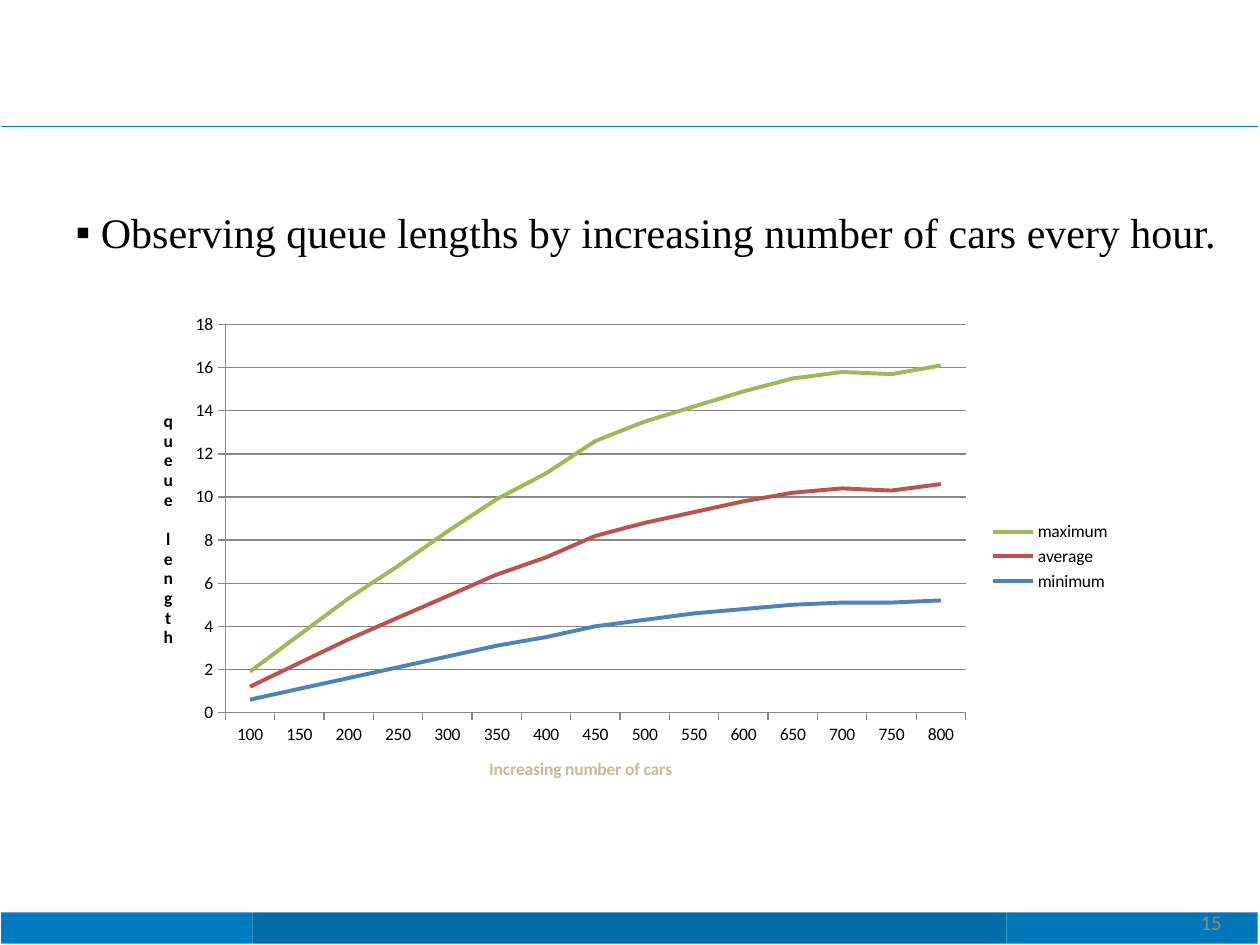
from lxml import etree
from pptx import Presentation
from pptx.chart.data import CategoryChartData
from pptx.dml.color import RGBColor
from pptx.enum.chart import XL_CHART_TYPE, XL_LEGEND_POSITION, XL_TICK_MARK
from pptx.enum.shapes import MSO_CONNECTOR, MSO_SHAPE
from pptx.enum.text import MSO_ANCHOR
from pptx.oxml.ns import qn
from pptx.util import Pt

COLORS = {
    "rule": "007BC1", "left": "007BC1", "middle": "006CAA", "right": "0077B9",
    "text": "000000", "number": "888888", "grid": "878787", "cars": "C4BD97",
    "minimum": "4F81BD", "average": "C0504D", "maximum": "9BBB59",
}
QUEUE_LENGTHS = {
    "minimum": [0.6, 1.1, 1.6, 2.1, 2.6, 3.1, 3.5, 4, 4.3, 4.6, 4.8, 5, 5.1, 5.1, 5.2],
    "average": [0.6, 1.2, 1.8, 2.3, 2.8, 3.3, 3.7, 4.2, 4.5, 4.7, 5, 5.2, 5.3, 5.2, 5.4],
    "maximum": [0.7, 1.3, 1.9, 2.4, 3, 3.5, 3.9, 4.4, 4.7, 4.9, 5.1, 5.3, 5.4, 5.4, 5.5],
}
PLOT_AREA = {"x": 0.09, "y": 0.04, "w": 0.75, "h": 0.77}


def color(name):
    return RGBColor.from_string(COLORS[name])


def style_font(font, size, name, color_name, bold=False):
    font.size, font.name, font.bold = Pt(size), name, bold
    font.color.rgb = color(color_name)


def add_header_rule(slide, left, top, width):
    rule = slide.shapes.add_connector(
        MSO_CONNECTOR.STRAIGHT, Pt(left), Pt(top), Pt(left + width), Pt(top))
    rule.line.color.rgb = color("rule")
    rule.line.width = Pt(0.4)
    etree.SubElement(rule._element.spPr, qn("a:effectLst"))


def add_footer(slide, left, top, width, height):
    for name, start, share in (("left", 0, 0.2), ("middle", 0.2, 0.6), ("right", 0.8, 0.2)):
        band = slide.shapes.add_shape(
            MSO_SHAPE.RECTANGLE, Pt(left + start * width), Pt(top),
            Pt(share * width), Pt(height))
        band.shadow.inherit = False
        band.fill.solid()
        band.fill.fore_color.rgb = color(name)
        band.line.fill.background()


def add_page_number(slide, left, top, width, height):
    number = slide.shapes.add_textbox(Pt(left), Pt(top), Pt(width), Pt(height))
    frame = number.text_frame
    frame.margin_left = frame.margin_right = frame.margin_top = frame.margin_bottom = 0
    frame.word_wrap = True
    frame.text = "15"
    paragraph = frame.paragraphs[0]
    paragraph.line_spacing = Pt(12.4)
    paragraph._p.get_or_add_pPr().set("marL", str(Pt(2)))
    style_font(paragraph.runs[0].font, 12, "Calibri", "number")


def place_observation(slide, left, top, width, height):
    observation = slide.placeholders[1]
    observation.left, observation.top = Pt(left), Pt(top)
    observation.width, observation.height = Pt(width), Pt(height)
    frame = observation.text_frame
    frame.word_wrap = False
    frame.vertical_anchor = MSO_ANCHOR.TOP
    frame.text = " Observing queue lengths by increasing number of cars every hour."
    paragraph = frame.paragraphs[0]
    paragraph.space_before = Pt(3)
    style_font(paragraph.runs[0].font, 24, "Times New Roman", "text")
    properties = paragraph._p.get_or_add_pPr()
    properties.set("marL", "0")
    properties.set("indent", "0")
    etree.SubElement(properties, qn("a:buChar"), char="▪")


def style_axis(axis, title, title_color):
    axis.axis_title.text_frame.text = title
    run = axis.axis_title.text_frame.paragraphs[0].runs[0]
    style_font(run.font, 10, "Calibri", title_color, bold=True)
    axis.major_tick_mark = XL_TICK_MARK.OUTSIDE
    axis.minor_tick_mark = XL_TICK_MARK.NONE
    axis.format.line.color.rgb = color("grid")
    axis.format.line.width = Pt(0.75)


def set_plot_area(chart):
    plot_area = chart._chartSpace.find(".//" + qn("c:plotArea"))
    for layout in plot_area.findall(qn("c:layout")):
        plot_area.remove(layout)
    layout = etree.Element(qn("c:layout"))
    plot_area.insert(0, layout)
    manual = etree.SubElement(layout, qn("c:manualLayout"))
    etree.SubElement(manual, qn("c:layoutTarget"), val="inner")
    for side in ("x", "y"):
        etree.SubElement(manual, qn(f"c:{side}Mode"), val="edge")
    for side, share in PLOT_AREA.items():
        etree.SubElement(manual, qn(f"c:{side}"), val=str(share))


def add_queue_chart(slide, left, top, width, height):
    data = CategoryChartData()
    data.categories = [str(cars) for cars in range(100, 801, 50)]
    for name, lengths in QUEUE_LENGTHS.items():
        data.add_series(name, lengths)
    chart = slide.shapes.add_chart(
        XL_CHART_TYPE.LINE_STACKED, Pt(left), Pt(top), Pt(width), Pt(height), data).chart
    style_font(chart.font, 10, "Calibri", "text")
    chart.has_title = False
    chart.has_legend = True
    chart.legend.position = XL_LEGEND_POSITION.RIGHT
    chart.legend.include_in_layout = False
    chart.plots[0].vary_by_categories = False
    for series in chart.plots[0].series:
        series.smooth = False
        series.format.line.color.rgb = color(series.name)
        series.format.line.width = Pt(2.25)

    style_axis(chart.category_axis, "Increasing number of cars", "cars")
    queue_axis = chart.value_axis
    style_axis(queue_axis, "queue length", "text")
    queue_axis.axis_title.text_frame._txBody.bodyPr.set("vert", "wordArtVert")
    queue_axis.minimum_scale, queue_axis.maximum_scale = 0, 18
    queue_axis.major_unit = 2
    queue_axis.has_major_gridlines = True
    queue_axis.major_gridlines.format.line.color.rgb = color("grid")
    queue_axis.major_gridlines.format.line.width = Pt(0.75)
    set_plot_area(chart)


def main():
    presentation = Presentation()
    presentation.slide_width, presentation.slide_height = Pt(720), Pt(540)
    slide = presentation.slides.add_slide(presentation.slide_layouts[1])
    title = slide.shapes.title._element
    title.getparent().remove(title)
    add_header_rule(slide, 0.7, 72, 718)
    add_footer(slide, 0.7, 521.3, 718, 18)
    place_observation(slide, 36, 114.5, 684, 65.5)
    add_queue_chart(slide, 78, 174, 564, 288)
    add_page_number(slide, 684, 522, 21, 12.4)
    presentation.save("out.pptx")


if __name__ == "__main__":
    main()
